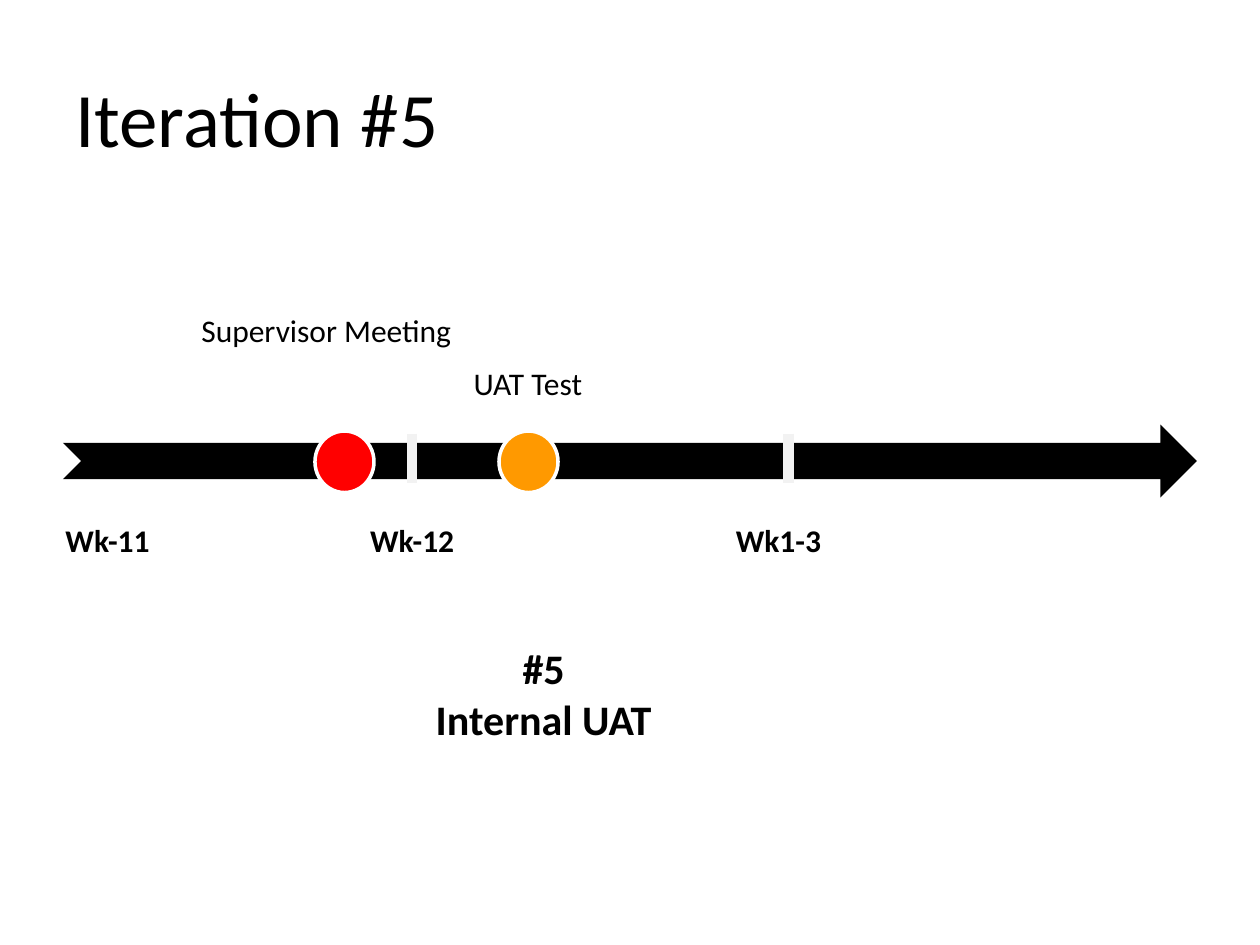
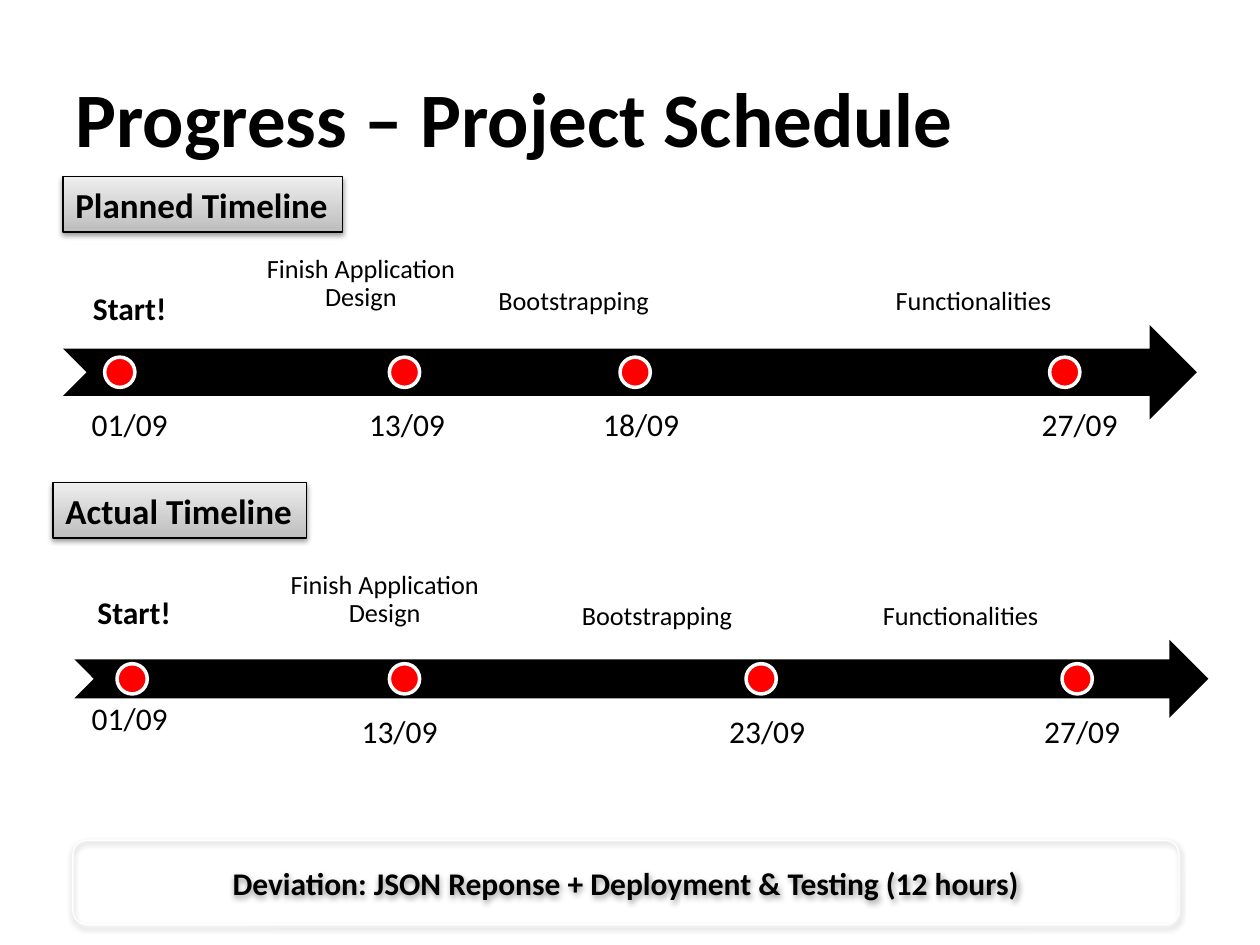
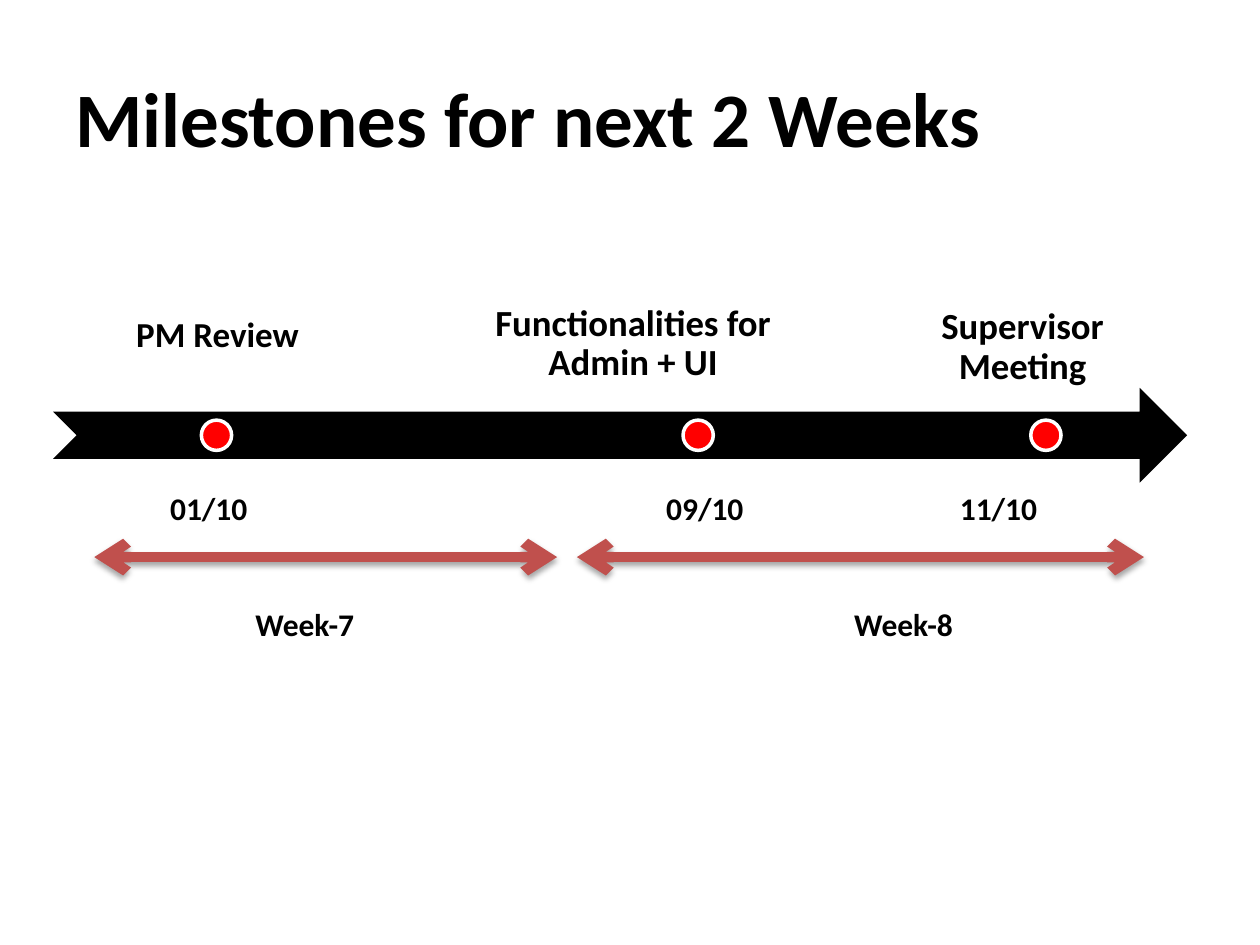
from dataclasses import dataclass

from lxml import etree
from pptx import Presentation
from pptx import util as u
from pptx.dml.color import RGBColor
from pptx.enum import shapes, text
from pptx.oxml import ns

BLACK = RGBColor(0, 0, 0)
WHITE = RGBColor(255, 255, 255)
RED = RGBColor(255, 0, 0)
ORANGE = RGBColor(255, 153, 0)
BRICK = RGBColor(192, 80, 77)
TICK_GREY = RGBColor(242, 242, 242)
LABEL_LIGHT = RGBColor(238, 238, 238)
LABEL_DARK = RGBColor(189, 189, 189)
FONT = "Calibri"
DOT = 0.61
DATE_SIZE = (2.06, 1.02)
LEFT, CENTER = text.PP_ALIGN.LEFT, text.PP_ALIGN.CENTER
SHAPE = shapes.MSO_SHAPE


@dataclass
class Milestone:
    """A dot on a timeline; places are relative to the timeline's box."""
    dot: float
    caption: str
    caption_box: tuple
    date: str
    date_at: tuple
    size: int = 15
    bold: bool = False
    date_bold: bool = False


def cm(*lengths):
    """Turn numbers into centimetre lengths."""
    return [u.Cm(length) for length in lengths]


def write(frame, content, size, bold=False, align=LEFT, spacing=None):
    """Fill a text frame and format its runs."""
    frame.text = content
    for para in frame.paragraphs:
        para.alignment = align
        if spacing:
            para.line_spacing = spacing
        for span in para.runs:
            span.font.name = FONT
            span.font.size = u.Pt(size)
            span.font.bold = bold
            span.font.color.rgb = BLACK


def add_text(page, box, content, size, bold=False, align=LEFT, wrap=False):
    """Add a text box, by default one that fits its text."""
    frame = page.shapes.add_textbox(*cm(*box)).text_frame
    write(frame, content, size, bold, align)
    frame.word_wrap = wrap
    if not wrap:
        frame.auto_size = text.MSO_AUTO_SIZE.SHAPE_TO_FIT_TEXT
    return frame


def add_preset(page, kind, box, fill=None, line=None, width=2):
    """Add a preset shape without a shadow."""
    shape = page.shapes.add_shape(kind, *cm(*box))
    shape.shadow.inherit = False
    if fill is None:
        shape.fill.background()
    else:
        shape.fill.solid()
        shape.fill.fore_color.rgb = fill
    if line is None:
        shape.line.fill.background()
    else:
        shape.line.color.rgb = line
        shape.line.width = u.Pt(width)
    return shape


def set_effects(shape, opacity=0, distance=0):
    """Give a shape a soft shadow below it, or none at all."""
    properties = shape._element.spPr
    for old in properties.findall(ns.qn("a:effectLst")):
        properties.remove(old)
    effects = etree.SubElement(properties, ns.qn("a:effectLst"))
    if opacity:
        shadow = etree.SubElement(
            effects, ns.qn("a:outerShdw"), blurRad=str(u.Pt(3.1)),
            dist=str(u.Pt(distance)), dir="5400000", rotWithShape="0")
        color = etree.SubElement(shadow, ns.qn("a:srgbClr"), val=str(BLACK))
        etree.SubElement(color, ns.qn("a:alpha"), val=str(opacity * 1000))


def add_line(page, start, end, color):
    """Add a thick straight line without a shadow."""
    line = page.shapes.add_connector(
        shapes.MSO_CONNECTOR.STRAIGHT, *cm(*start, *end))
    line.line.color.rgb = color
    line.line.width = u.Pt(6)
    set_effects(line)
    return line


def add_page(deck, title, bold=True):
    """Add a blank slide with a title."""
    page = deck.slides.add_slide(deck.slide_layouts[6])
    frame = add_text(page, (1.27, 0.76, 22.86, 3.18), title, 44, bold, wrap=True)
    frame.vertical_anchor = text.MSO_ANCHOR.MIDDLE
    return page


def add_timeline(page, box, milestones=()):
    """Draw an arrow in the box with its dots, captions and dates."""
    left, top, _, height = box
    add_preset(page, SHAPE.NOTCHED_RIGHT_ARROW, box, BLACK)
    for stone in milestones:
        dot_box = (left + stone.dot, top + (height - DOT) / 2, DOT, DOT)
        add_preset(page, SHAPE.OVAL, dot_box, RED, WHITE)
        x, y, width, tall = stone.caption_box
        frame = add_text(page, (left + x, top + y, width, tall),
                         stone.caption, stone.size, wrap=True)
        write(frame, stone.caption, stone.size, stone.bold, CENTER, 0.9)
        inset = u.Cm(stone.size * 0.02)
        frame.margin_left = frame.margin_right = inset
        frame.margin_top = frame.margin_bottom = inset
        x, y = stone.date_at
        add_text(page, (left + x, top + y, *DATE_SIZE),
                 stone.date, 18, stone.date_bold)


def add_week_row(page, left, top, labels):
    """Add a one-row table without fill that holds the week labels."""
    column, height = 5.85, 1.04
    table = page.shapes.add_table(
        1, len(labels), *cm(left, top, column * len(labels), height)).table
    table.first_row = table.horz_banding = False
    for cell, (label, align, indent) in zip(table.rows[0].cells, labels):
        cell.fill.background()
        cell.margin_left = u.Cm(0.25 + indent)
        write(cell.text_frame, label, 18, True, align)


def add_label(page, box, content):
    """Add a grey gradient label with a shadow."""
    label = add_preset(page, SHAPE.RECTANGLE, box, LABEL_LIGHT, BLACK, 0.75)
    label.fill.gradient()
    label.fill.gradient_angle = 90
    for stop, color in zip(label.fill.gradient_stops, (LABEL_DARK, LABEL_LIGHT)):
        stop.color.rgb = color
    set_effects(label, 38, 1.6)
    write(label.text_frame, content, 20, True)
    label.text_frame.word_wrap = False


def add_note(page, box, content):
    """Add a rounded outline with a centred sentence."""
    note = add_preset(page, SHAPE.ROUNDED_RECTANGLE, box, None, WHITE, 0.75)
    set_effects(note, 38, 1.6)
    write(note.text_frame, content, 18, True, CENTER)
    note.text_frame.vertical_anchor = text.MSO_ANCHOR.MIDDLE


def add_week_span(page, left, top, width, label_x, label):
    """Add a double-headed arrow with the week's name below it."""
    span = add_line(page, (left, top), (left + width, top), BRICK)
    set_effects(span, 35, 1.8)
    outline = span.line._get_or_add_ln()
    for end in ("a:headEnd", "a:tailEnd"):
        etree.SubElement(outline, ns.qn(end), type="arrow")
    add_text(page, (left + label_x, top + 0.84, 2.54, 1.02), label, 18, True)


def build_iteration(deck):
    """Build the slide on iteration 5."""
    page = add_page(deck, "Iteration #5", bold=False)
    add_timeline(page, (1.27, 8.56, 22.86, 1.47))
    for x in (8.31, 15.9):
        add_line(page, (x, 8.74), (x, 9.73), TICK_GREY)
    for x, color in ((6.35, RED), (10.06, ORANGE)):
        add_preset(page, SHAPE.OVAL, (x, 8.69, 1.19, 1.24), color, WHITE)
    add_week_row(page, 1.07, 10.41, [
        ("Wk-11", LEFT, 0), ("Wk-12", LEFT, 0.29),
        ("Wk1-3", CENTER, 0), ("", LEFT, 0)])
    add_text(page, (8.51, 12.83, 4.9, 2.3), "#5\nInternal UAT", 24, True, CENTER)
    add_text(page, (3.81, 6.15, 5.59, 1.02), "Supervisor Meeting", 18)
    add_text(page, (9.3, 7.21, 2.72, 1.02), "UAT Test", 18)


def build_schedule(deck):
    """Build the slide that compares planned and actual timelines."""
    page = add_page(deck, "Progress – Project Schedule")
    design = "Finish Application Design"
    add_timeline(page, (1.27, 6.55, 22.86, 1.91), [
        Milestone(0.84, "Start!", (0, -0.98, 2.69, 1.47),
                  "01/09", (0.33, 1.5), 18, True),
        Milestone(6.58, design, (3.53, -1.7, 4.95, 1.91), "13/09", (5.92, 1.5)),
        Milestone(11.23, "Bootstrapping", (7.82, -1.04, 4.95, 1.19),
                  "18/09", (10.64, 1.5)),
        Milestone(19.89, "Functionalities", (15.88, -1.04, 4.95, 1.19),
                  "27/09", (19.48, 1.5))])
    add_timeline(page, (1.5, 12.9, 22.86, 1.57), [
        Milestone(0.86, "Start!", (0.1, -1.21, 2.21, 1.47),
                  "01/09", (0.1, 1.07), 18, True),
        Milestone(6.35, design, (3.78, -1.67, 4.95, 1.91), "13/09", (5.54, 1.32)),
        Milestone(13.54, "Bootstrapping", (9.27, -1.04, 4.95, 1.19),
                  "23/09", (12.95, 1.32)),
        Milestone(19.91, "Functionalities", (15.39, -1.04, 4.95, 1.19),
                  "27/09", (19.3, 1.32))])
    add_label(page, (1.27, 3.56, 5.64, 1.12), "Planned Timeline")
    add_label(page, (1.07, 9.73, 5.11, 1.12), "Actual Timeline")
    add_note(page, (1.47, 16.94, 22.3, 1.7),
             "Deviation: JSON Reponse + Deployment & Testing (12 hours)")


def build_milestones(deck):
    """Build the slide on the next two weeks."""
    page = add_page(deck, "Milestones for next 2 Weeks")
    add_timeline(page, (1.07, 7.82, 22.86, 1.91), [
        Milestone(2.99, "PM Review", (0, -1.8, 6.63, 2.46),
                  "01/10", (2.11, 1.91), 20, True, True),
        Milestone(12.7, "Functionalities for Admin + UI", (8.38, -2.1, 6.63, 2.46),
                  "09/10", (12.11, 1.91), 21, True, True),
        Milestone(19.71, "Supervisor Meeting", (16.23, -2.03, 6.63, 2.46),
                  "11/10", (18.03, 1.91), 21, True, True)])
    add_week_span(page, 1.9, 11.23, 9.33, 3, "Week-7")
    add_week_span(page, 11.63, 11.23, 11.43, 5.34, "Week-8")


def main():
    """Build the deck and save it."""
    deck = Presentation()
    deck.slide_width, deck.slide_height = cm(25.4, 19.05)
    for build in (build_iteration, build_schedule, build_milestones):
        build(deck)
    deck.save("out.pptx")


if __name__ == "__main__":
    main()
